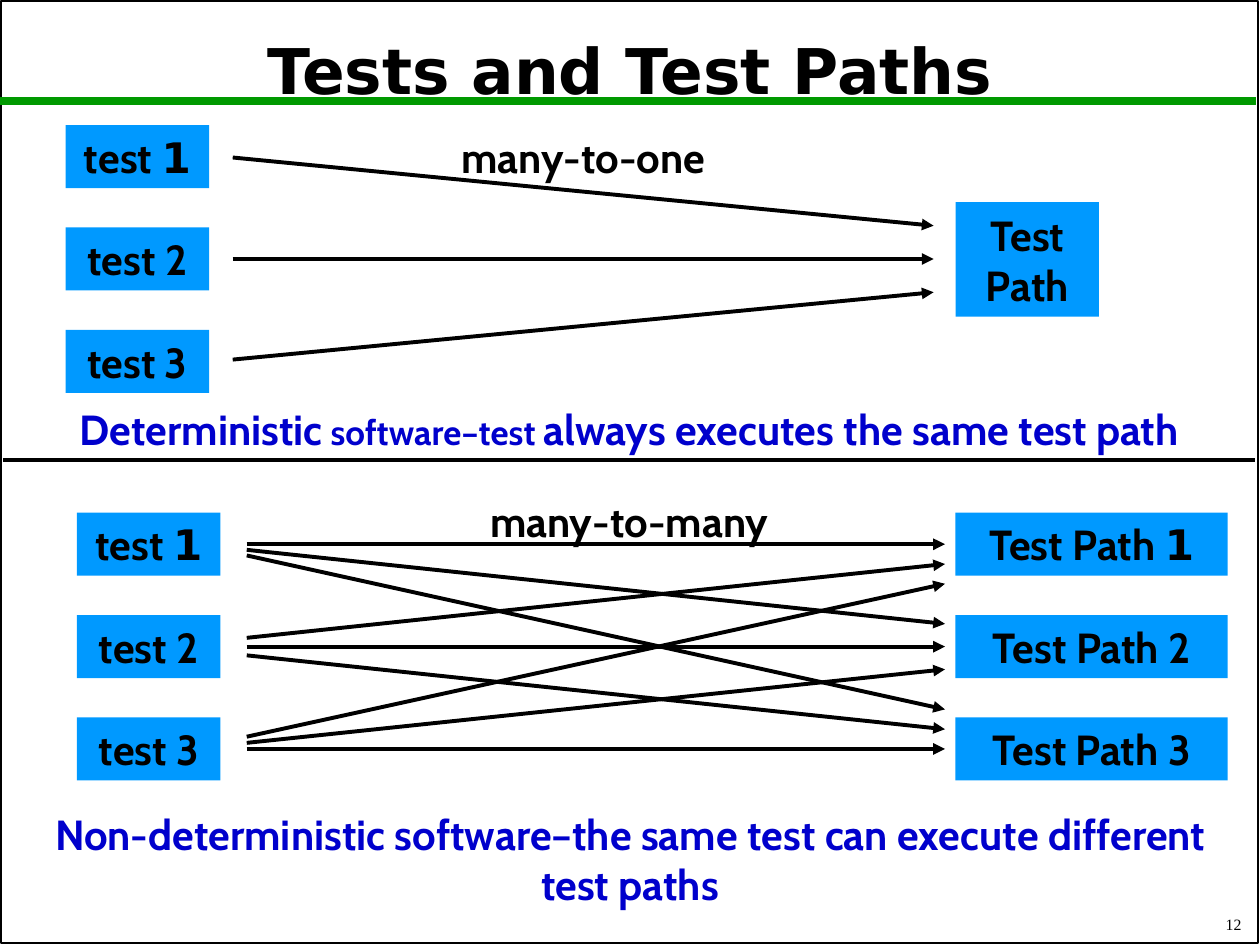
import pptx
import pptx.util
import pptx.dml.color
import pptx.enum.shapes
import pptx.enum.text
import pptx.oxml
import pptx.oxml.ns

Pt = pptx.util.Pt
PP_ALIGN = pptx.enum.text.PP_ALIGN
MSO_ANCHOR = pptx.enum.text.MSO_ANCHOR
RECTANGLE = pptx.enum.shapes.MSO_SHAPE.RECTANGLE
BLACK, BLUE, GREEN, NAVY = "000000", "0099FF", "009900", "0000CC"


def color(hex_string):
    return pptx.dml.color.RGBColor.from_string(hex_string)


def label(left, top, width, height, runs, fill=None, text_color=BLACK):
    """Centred bold text, in a filled box if fill is given.

    Each run is (text, font, size)."""
    if fill:
        shape = shapes.add_shape(RECTANGLE, Pt(left), Pt(top), Pt(width), Pt(height))
        shape.shadow.inherit = False
        shape.fill.solid()
        shape.fill.fore_color.rgb = color(fill)
        shape.line.fill.background()
    else:
        shape = shapes.add_textbox(Pt(left), Pt(top), Pt(width), Pt(height))
    frame = shape.text_frame
    frame.word_wrap = True
    frame.vertical_anchor = MSO_ANCHOR.MIDDLE
    paragraph = frame.paragraphs[0]
    paragraph.alignment = PP_ALIGN.CENTER
    paragraph.font.bold = True
    paragraph.font.color.rgb = color(text_color)
    for text, font, size in runs:
        run = paragraph.add_run()
        run.text = text
        run.font.name = font
        run.font.size = Pt(size)


presentation = pptx.Presentation()
presentation.slide_width, presentation.slide_height = Pt(720), Pt(540)
slide = presentation.slides.add_slide(presentation.slide_layouts[5])
shapes = slide.shapes

# Page frame
frame = shapes.add_shape(RECTANGLE, Pt(0.5), Pt(0.5), Pt(718.5), Pt(538.5))
frame.shadow.inherit = False
frame.fill.background()
frame.line.color.rgb = color(BLACK)
frame.line.width = Pt(1)

# Title
title = shapes.title
title.left, title.top, title.width, title.height = Pt(3.5), Pt(8), Pt(713), Pt(68.5)
title.text_frame.text = "Tests and Test Paths"
title.text_frame.vertical_anchor = MSO_ANCHOR.MIDDLE
heading = title.text_frame.paragraphs[0]
heading.alignment = PP_ALIGN.CENTER
heading.line_spacing = 0.9
heading.font.name = "DejaVu Sans"
heading.font.size = Pt(36)
heading.font.bold = True
heading.font.color.rgb = color(BLACK)

# Boxes: the digit 1 is set in its own font
digit_fonts = {1: "DejaVu Sans", 2: "Cabin", 3: "Cabin"}
columns = [
    ("test ", 37.5, 71.5, 82),
    ("test ", 44, 293, 82),
    ("Test Path ", 546, 293, 155.5),
]
row_pitch = 58.5
for name, left, first_top, width in columns:
    for row, (digit, font) in enumerate(digit_fonts.items()):
        label(left, first_top + row * row_pitch, width, 36,
              [(name, "Cabin", 24), (str(digit), font, 24)], fill=BLUE)
label(546, 115.5, 82, 65.5, [("Test Path", "Cabin", 24)], fill=BLUE)

# Captions
label(254, 71.5, 158.5, 36, [("many-to-one", "Cabin", 24)])
label(214.5, 279.5, 290, 36.5, [("many-to-many", "Cabin", 24)])
label(2, 227, 715, 36.5,
      [("Deterministic", "Cabin", 24),
       (" software–test ", "Cabin", 20),
       ("always executes the same test path", "Cabin", 24)], text_color=NAVY)
label(10, 458, 700, 65.5,
      [("Non-deterministic software–the same test can execute different test paths",
        "Cabin", 24)], text_color=NAVY)

# Lines: x1, y1, x2, y2, colour, width, arrowhead
lines = [
    (0, 57.5, 718, 57.5, GREEN, 4.5, False),
    (2, 263, 717, 263, BLACK, 2.25, False),
]
for start_y, end_y in [(90, 129), (148, 148), (205.5, 167)]:
    lines.append((133, start_y, 533.5, end_y, BLACK, 2.25, True))

# Every test leads to every path; arrow ends fan out around each row's centre
start_gaps = [3.2, 5, 3.5]
end_gaps = [11.3, 13, 11.3]
for test, start_gap in enumerate(start_gaps):
    for path, end_gap in enumerate(end_gaps):
        start_y = 311 + test * row_pitch + (path - test) * start_gap
        end_y = 311 + path * row_pitch + (test - path) * end_gap
        lines.append((141, start_y, 540, end_y, BLACK, 2.25, True))

for x1, y1, x2, y2, line_color, width, has_arrowhead in lines:
    connector = shapes.add_connector(
        pptx.enum.shapes.MSO_CONNECTOR.STRAIGHT, Pt(x1), Pt(y1), Pt(x2), Pt(y2))
    connector.line.color.rgb = color(line_color)
    connector.line.width = Pt(width)
    properties = connector._element.spPr
    if has_arrowhead:
        arrowhead = pptx.oxml.parse_xml(
            f'<a:tailEnd {pptx.oxml.ns.nsdecls("a")} type="triangle"/>')
        connector.line._get_or_add_ln().append(arrowhead)
    properties.append(pptx.oxml.parse_xml(
        f'<a:effectLst {pptx.oxml.ns.nsdecls("a")}/>'))

# Page number
page_number = shapes.add_textbox(Pt(566.5), Pt(516), Pt(150), Pt(21)).text_frame
page_number.text = "12"
page_number.vertical_anchor = MSO_ANCHOR.BOTTOM
page_number.word_wrap = True
number = page_number.paragraphs[0]
number.alignment = PP_ALIGN.RIGHT
number.font.name = "Times New Roman"
number.font.size = Pt(9)
number.font.color.rgb = color(BLACK)

presentation.save("out.pptx")
